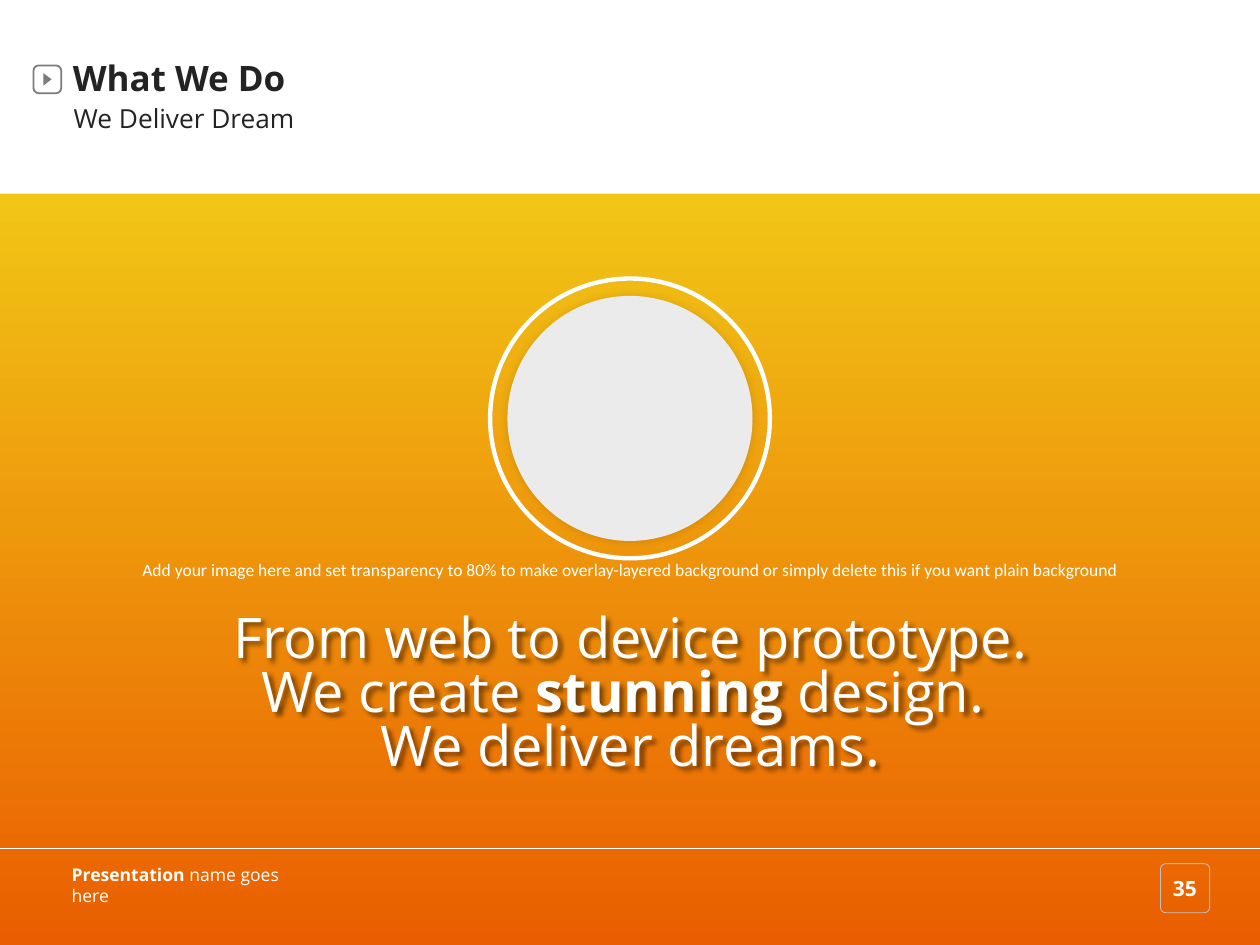
from lxml import etree
from pptx import Presentation
from pptx.dml.color import RGBColor
from pptx.enum.shapes import MSO_CONNECTOR, MSO_SHAPE as SHAPE
from pptx.enum.text import MSO_ANCHOR, PP_ALIGN as ALIGN
from pptx.oxml.ns import qn
from pptx.util import Cm, Pt

WHITE = RGBColor(0xFF, 0xFF, 0xFF)
LIGHT = RGBColor(0xEB, 0xEB, 0xEB)
SILVER = RGBColor(0xC0, 0xC0, 0xC0)
GREY = RGBColor(0x44, 0x44, 0x44)
INK = RGBColor(0x23, 0x23, 0x23)
YELLOW = RGBColor(0xF1, 0xC6, 0x16)
ORANGE = RGBColor(0xEA, 0x5D, 0x00)

# Content: each paragraph is a list of (text, bold) runs
TITLE = [[("What We Do", True)]]
SUBTITLE = [[("We Deliver Dream", False)]]
HINT = [[("Add your image here and set transparency to 80% to make overlay-layered "
          "background or simply delete this if you want plain background", False)]]
HEADLINE = [
    [("From web to device prototype.", False)],
    [("We create ", False), ("stunning", True), (" design. ", False)],
    [("We deliver dreams.", False)],
]
FOOTER = [[("Presentation", True), (" name goes here", False)]]
PAGE = [[("35", True)]]

# Layout in cm
WIDTH, HEIGHT = 50.8, 38.1
BAND_TOP, BLEED = 7.8, 0.1
RULE_Y = 34.19
CENTER_X, CENTER_Y = WIDTH / 2, 16.87
RING, DISC = 11.28, 9.88
PLAY = [(1.75, 2.95), (1.75, 3.45), (2.08, 3.2)]

# text, box, size, colour, font, alignment, inset, line spacing
TEXTS = {
    "footer": (FOOTER, (2.74, 35.08, 10.19, 1.24), 20, WHITE, "Open Sans", ALIGN.LEFT, 0.15, 1),
    "hint": (HINT, (0, 7.82, WIDTH, 30.28), 20, WHITE, "Calibri", ALIGN.CENTER, 0.15, 1),
    "title": (TITLE, (2.79, 2.01, 12, 2.24), 40, INK, "Open Sans", ALIGN.LEFT, 0.15, 1),
    "subtitle": (SUBTITLE, (2.82, 3.91, 41, 1.73), 30, INK, "Open Sans", ALIGN.LEFT, 0.15, 1),
    "headline": (HEADLINE, (6.22, 23.93, 38.38, 8.28), 64, WHITE, "Open Sans", ALIGN.CENTER, 0, 0.8),
    "page": (PAGE, (47.12, 35.08, 1.3, 1.45), 24, WHITE, "Open Sans", ALIGN.CENTER, 0.15, 1),
}

prs = Presentation()
prs.slide_width, prs.slide_height = Cm(WIDTH), Cm(HEIGHT)
s = prs.slides.add_slide(prs.slide_layouts[6])


def set_alpha(element, percent):
    color = element.find(".//" + qn("a:srgbClr"))
    etree.SubElement(color, qn("a:alpha"), val=str(percent * 1000))


def add_shadow(sp, alpha, blur, distance=0, angle=0):
    effects = sp._element.spPr.find(qn("a:effectLst"))
    if effects is None:
        effects = etree.SubElement(sp._element.spPr, qn("a:effectLst"))
    shadow = etree.SubElement(effects, qn("a:outerShdw"), blurRad=str(Pt(blur)),
                              dist=str(Pt(distance)), dir=str(angle * 60000),
                              algn="ctr", rotWithShape="0")
    etree.SubElement(shadow, qn("a:srgbClr"), val="000000")
    set_alpha(shadow, alpha)


def paint(sp, fill=None, line=None, width=1):
    sp.shadow.inherit = False
    if fill is None:
        sp.fill.background()
    else:
        sp.fill.solid()
        sp.fill.fore_color.rgb = fill
    if line is None:
        sp.line.fill.background()
    else:
        sp.line.color.rgb = line
        sp.line.width = Pt(width)


def add_shape(kind, box, fill=None, line=None, width=1, corner=None):
    sp = s.shapes.add_shape(kind, *map(Cm, box))
    paint(sp, fill, line, width)
    if corner is not None:
        sp.adjustments[0] = corner
    return sp


def add_circle(diameter, **style):
    corner = CENTER_X - diameter / 2, CENTER_Y - diameter / 2
    return add_shape(SHAPE.OVAL, (*corner, diameter, diameter), **style)


def add_text(paragraphs, box, size, color, font, align, inset, spacing):
    sp = s.shapes.add_textbox(*map(Cm, box))
    tf = sp.text_frame
    tf.word_wrap = True
    tf.vertical_anchor = MSO_ANCHOR.MIDDLE
    tf.margin_left = tf.margin_right = tf.margin_top = tf.margin_bottom = Cm(inset)
    for i, runs in enumerate(paragraphs):
        p = tf.paragraphs[0] if i == 0 else tf.add_paragraph()
        p.alignment, p.line_spacing = align, spacing
        p.font.size, p.font.name = Pt(size), font
        p.font.color.rgb = color
        for text, bold in runs:
            r = p.add_run()
            r.text, r.font.bold = text, bold
    return sp


# Gradient band
band = add_shape(SHAPE.RECTANGLE, (-BLEED, BAND_TOP, WIDTH + 2 * BLEED, HEIGHT - BAND_TOP + BLEED),
                 line=LIGHT, width=2)
band.fill.gradient()
band.fill.gradient_angle = 270
for stop, color, position in zip(band.fill.gradient_stops, (YELLOW, ORANGE), (0, 1)):
    stop.color.rgb, stop.position = color, position

# Page number frame and play icon
add_shape(SHAPE.ROUNDED_RECTANGLE, (46.79, 34.82, 1.98, 1.98), line=SILVER, corner=0.107)
icon = add_shape(SHAPE.ROUNDED_RECTANGLE, (1.35, 2.64, 1.12, 1.12), line=GREY, width=2, corner=0.188)
set_alpha(icon.line._ln, 70)
start, *rest = [(Cm(x), Cm(y)) for x, y in PLAY]
builder = s.shapes.build_freeform(*start)
builder.add_line_segments(rest, close=True)
play = builder.convert_to_shape()
paint(play, fill=GREY)
set_alpha(play._element.spPr, 70)

# Footer rule
rule = s.shapes.add_connector(MSO_CONNECTOR.STRAIGHT, 0, Cm(RULE_Y), Cm(WIDTH), Cm(RULE_Y))
rule.line.color.rgb, rule.line.width = WHITE, Pt(1)
etree.SubElement(rule._element.spPr, qn("a:effectLst"))

# Texts
boxes = {name: add_text(*args) for name, args in TEXTS.items()}
add_shadow(boxes["headline"], alpha=50, blur=4, distance=4, angle=45)

# Ring and disc
add_circle(RING, line=WHITE, width=5)
add_shadow(add_circle(DISC, fill=LIGHT), alpha=11, blur=10)

prs.save("out.pptx")
